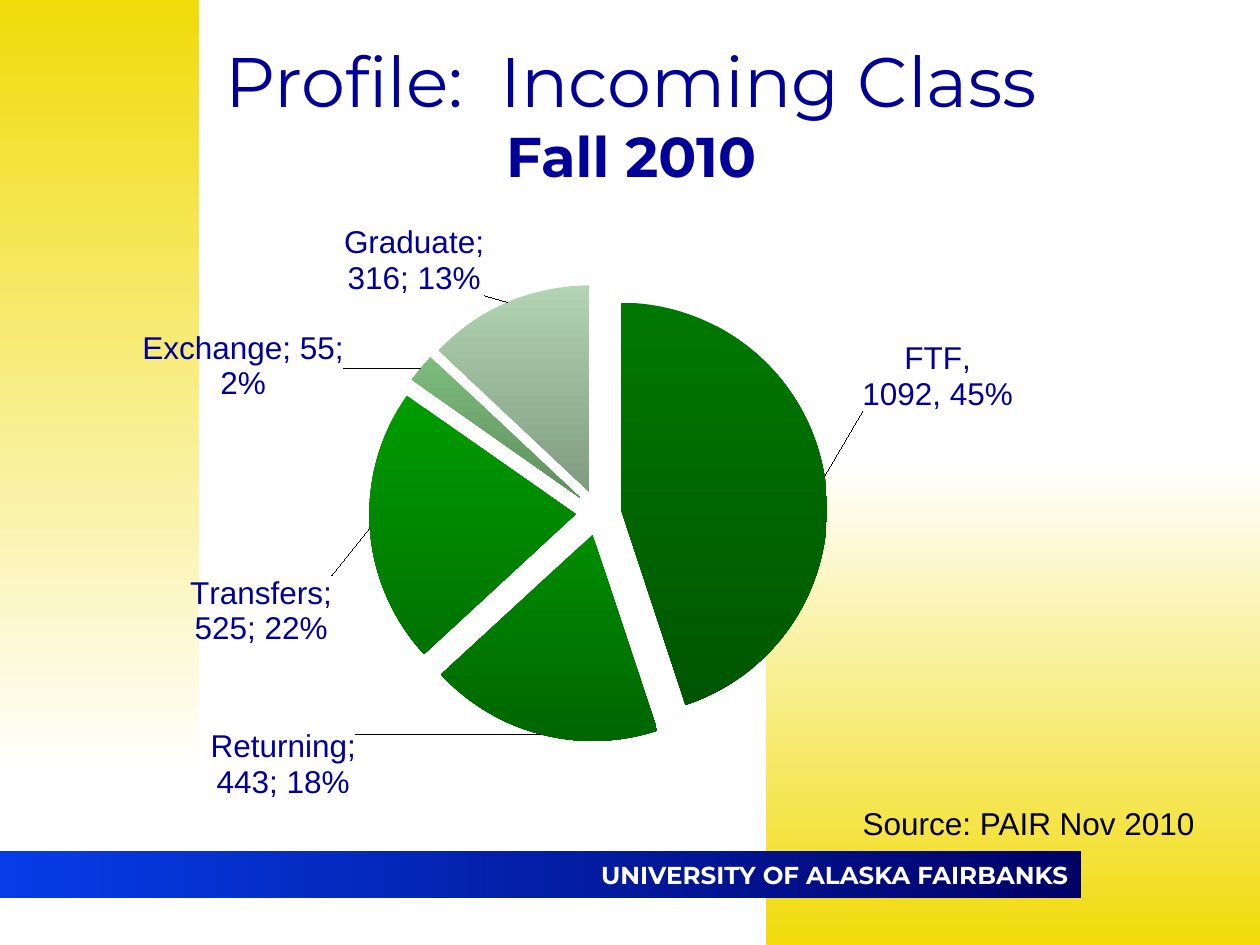
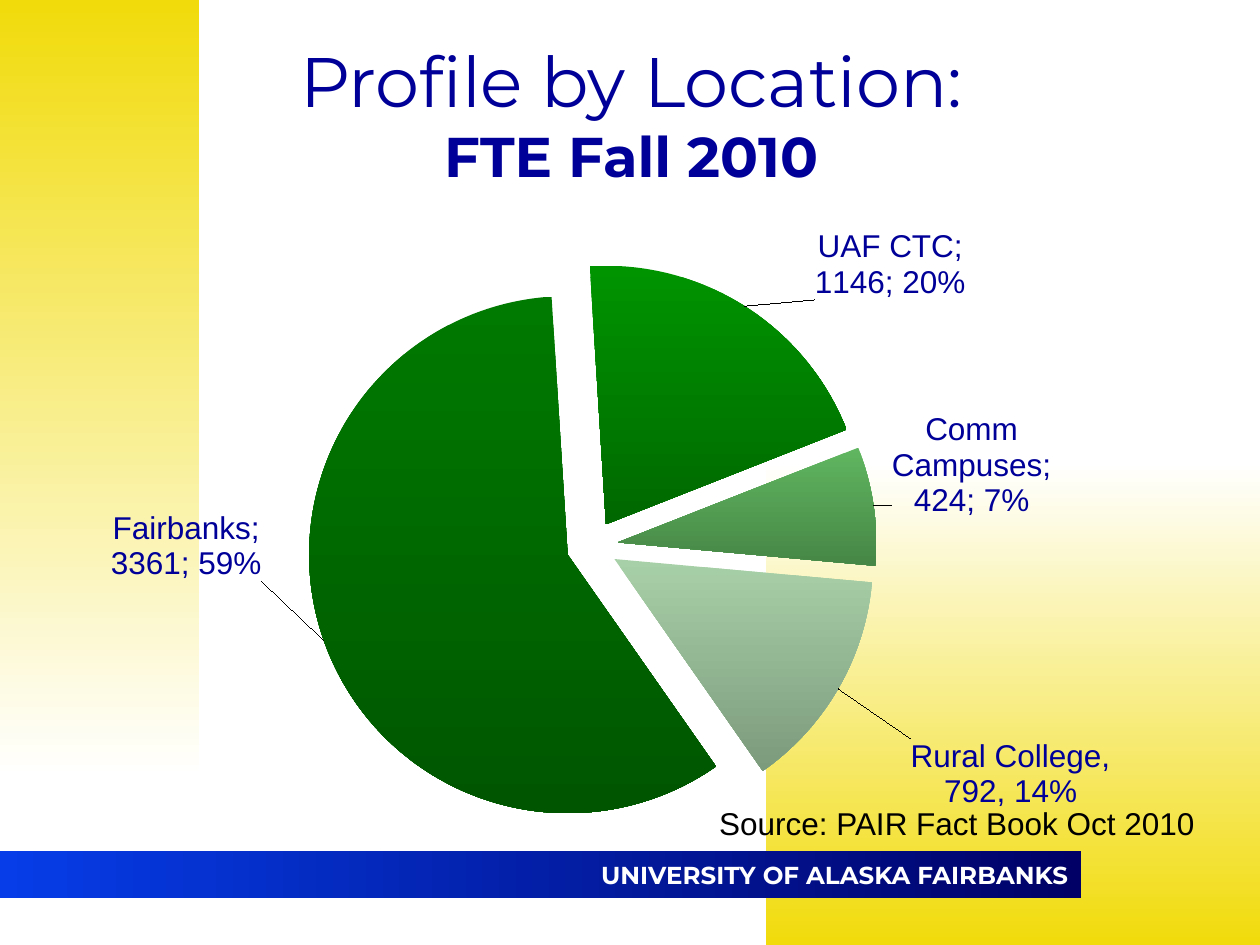
from dataclasses import dataclass

from lxml import etree
from pptx import Presentation
from pptx.chart.data import CategoryChartData
from pptx.dml.color import RGBColor
from pptx.enum.chart import XL_CHART_TYPE, XL_LABEL_POSITION
from pptx.enum.shapes import MSO_SHAPE
from pptx.enum.text import MSO_ANCHOR, MSO_AUTO_SIZE, PP_ALIGN
from pptx.oxml.ns import qn
from pptx.util import Inches, Pt


@dataclass(frozen=True)
class Theme:
    navy: str = "000099"
    black: str = "000000"
    white: str = "FFFFFF"
    gold: str = "F1DB0B"
    band_start: str = "063DE8"
    band_end: str = "000066"
    heading_font: str = "Montserrat"
    body_font: str = "Arial"
    title_size: int = 40
    subtitle_size: int = 32
    body_size: int = 18
    footer_size: int = 14


DOWN, ACROSS = 270, 0
TITLE_ONLY = 5


def set_values(target, values):
    for name, value in values.items():
        setattr(target, name, value)


def set_font(font, name, size, color, bold=False):
    set_values(font, {"name": name, "size": Pt(size), "bold": bold})
    font.color.rgb = RGBColor.from_string(color)


def set_gradient(fill, colors, angle):
    fill.gradient()
    fill.gradient_angle = angle
    for stop, color in zip(fill.gradient_stops, colors):
        stop.color.rgb = RGBColor.from_string(color)


def chart_layout(values):
    """Return a manual chart layout; values maps tags to settings in schema order."""
    layout = etree.Element(qn("c:layout"))
    manual = etree.SubElement(layout, qn("c:manualLayout"))
    for tag, value in values.items():
        etree.SubElement(manual, qn(f"c:{tag}")).set("val", str(value))
    return layout


class Deck:
    def __init__(self, theme):
        self.theme = theme
        self.prs = Presentation()
        set_values(self.prs, {"slide_width": Inches(10), "slide_height": Inches(7.5)})
        self.layout = self.prs.slide_layouts[TITLE_ONLY]
        self.slide = None

    def new_slide(self, title, subtitle):
        first = self.slide is None
        self.slide = self.prs.slides.add_slide(self.layout)
        if first:
            self.shared_bands()
        self.title(title, subtitle)

    def shared_bands(self):
        """Draw the common background and move it onto the layout."""
        t = self.theme
        left = self.band((0, 0, 1.58, 6.17), (t.gold, t.white), DOWN)
        right = self.band((6.08, 3.67, 3.92, 3.83), (t.white, t.gold), DOWN)
        footer = self.band((0, 6.75, 8.58, 0.38), (t.band_start, t.band_end), ACROSS)
        self.fill_text(footer.text_frame, "UNIVERSITY OF ALASKA FAIRBANKS", PP_ALIGN.RIGHT,
                       t.heading_font, t.footer_size, t.white, True)
        footer.text_frame.vertical_anchor = MSO_ANCHOR.MIDDLE
        for position, band in enumerate((left, right, footer), start=2):
            self.layout.shapes.element.insert(position, band.element)

    def band(self, box, colors, angle):
        band = self.slide.shapes.add_shape(MSO_SHAPE.RECTANGLE, *map(Inches, box))
        band.shadow.inherit = False
        band.line.fill.background()
        set_gradient(band.fill, colors, angle)
        return band

    def fill_text(self, frame, text, align, *font):
        frame.word_wrap = True
        frame.text = text
        for paragraph in frame.paragraphs:
            paragraph.alignment = align
            set_font(paragraph.runs[0].font, *font)

    def title(self, title, subtitle):
        t = self.theme
        heading = self.slide.shapes.title
        set_values(heading, {"left": Inches(0), "top": Inches(0.25),
                             "width": Inches(10.02), "height": Inches(1.72)})
        frame = heading.text_frame
        set_values(frame, {"vertical_anchor": MSO_ANCHOR.TOP, "auto_size": MSO_AUTO_SIZE.NONE})
        self.fill_text(frame, f"{title}\n{subtitle}", PP_ALIGN.CENTER,
                       t.heading_font, t.title_size, t.navy)
        set_values(frame.paragraphs[1].runs[0].font, {"size": Pt(t.subtitle_size), "bold": True})

    def source(self, text, left):
        t = self.theme
        note = self.slide.shapes.add_textbox(
            Inches(left), Inches(6.33), Inches(9.58 - left), Inches(0.4))
        self.fill_text(note.text_frame, text, PP_ALIGN.RIGHT, t.body_font, t.body_size, t.black)

    def pie(self, box, plot, slices, explosion, start=0):
        """slices: (category, value, gradient, label offset, custom label or None)."""
        t = self.theme
        data = CategoryChartData()
        data.categories = [part[0] for part in slices]
        data.add_series("Series 1", [part[1] for part in slices])
        chart = self.slide.shapes.add_chart(
            XL_CHART_TYPE.PIE, *map(Inches, box), data).chart
        set_values(chart, {"has_title": False, "has_legend": False})
        set_font(chart.font, t.body_font, t.body_size, t.black)
        pie_plot = chart.plots[0]
        pie_plot.vary_by_categories = True
        series = pie_plot.series[0]

        # Slices and their labels
        label_font = (t.body_font, t.body_size, t.navy)
        set_values(series.data_labels, {
            "show_value": True, "show_percentage": True, "show_category_name": True,
            "position": XL_LABEL_POSITION.OUTSIDE_END})
        set_font(series.data_labels.font, *label_font)
        for index, (_, _, colors, _, custom) in enumerate(slices):
            point = series.points[index]
            set_gradient(point.format.fill, colors, DOWN)
            point.format.line.fill.background()
            label = point.data_label
            if custom:
                self.fill_text(label.text_frame, custom, PP_ALIGN.CENTER, *label_font)
            else:
                set_font(label.font, *label_font)
            label.position = XL_LABEL_POSITION.OUTSIDE_END

        # Label offsets and contents
        root = chart.element
        for label, part in zip(root.iter(qn("c:dLbl")), slices):
            label.insert(1, chart_layout(dict(zip("xy", part[3]))))
            for tag in ("c:showVal", "c:showCatName", "c:showPercent"):
                label.find(qn(tag)).set("val", "1")
            etree.SubElement(label, qn("c:separator")).text = "; "

        # Plot position, exploded slices and first angle
        area = root.find(f".//{qn('c:plotArea')}")
        for old in area.findall(qn("c:layout")):
            area.remove(old)
        area.insert(0, chart_layout({"layoutTarget": "inner", "xMode": "edge", "yMode": "edge",
                                     **dict(zip("xywh", plot))}))
        first_point = area.find(f".//{qn('c:dPt')}")
        gap = etree.Element(qn("c:explosion"))
        gap.set("val", str(explosion))
        first_point.addprevious(gap)
        pie_chart = area.find(qn("c:pieChart"))
        angle = pie_chart.find(qn("c:firstSliceAng"))
        if angle is None:
            angle = etree.SubElement(pie_chart, qn("c:firstSliceAng"))
        angle.set("val", str(start))


def main():
    deck = Deck(Theme())

    # Incoming class
    deck.new_slide("Profile:  Incoming Class", "Fall 2010")
    deck.pie((0.75, 1.58, 8.08, 5.03), (0.27, 0.13, 0.45, 0.73), [
        ("FTF", 1092, ("007800", "005600"), (0.03, -0.1), "FTF,\n1092, 45%"),
        ("Returning", 443, ("008C00", "006600"), (-0.18, -0.02), None),
        ("Transfers", 525, ("009C00", "007200"), (-0.03, 0.13), None),
        ("Exchange", 55, ("7CBC7C", "5F8F5F"), (-0.07, 0.06), None),
        ("Graduate", 316, ("B2D4B2", "809C80"), (-0.02, 0), None),
    ], explosion=11)
    deck.source("Source: PAIR Nov 2010", 5.75)

    # Full-time equivalents by location
    deck.new_slide("Profile by Location:", "FTE Fall 2010")
    deck.pie((0.5, 1.5, 8.75, 5.25), (0.22, 0.11, 0.52, 0.86), [
        ("Fairbanks", 3361, ("007A00", "005600"), (-0.05, -0.2), None),
        ("UAF CTC", 1146, ("009400", "006800"), (0.06, 0), None),
        ("Comm Campuses", 424, ("60B660", "468646"), (0.01, 0.02), None),
        ("Rural College", 792, ("A8D0A8", "7C9A7C"), (0.06, 0.07), "Rural College,\n792, 14%"),
    ], explosion=10, start=145)
    deck.source("Source: PAIR Fact Book Oct 2010", 5.33)

    deck.prs.save("out.pptx")


if __name__ == "__main__":
    main()
